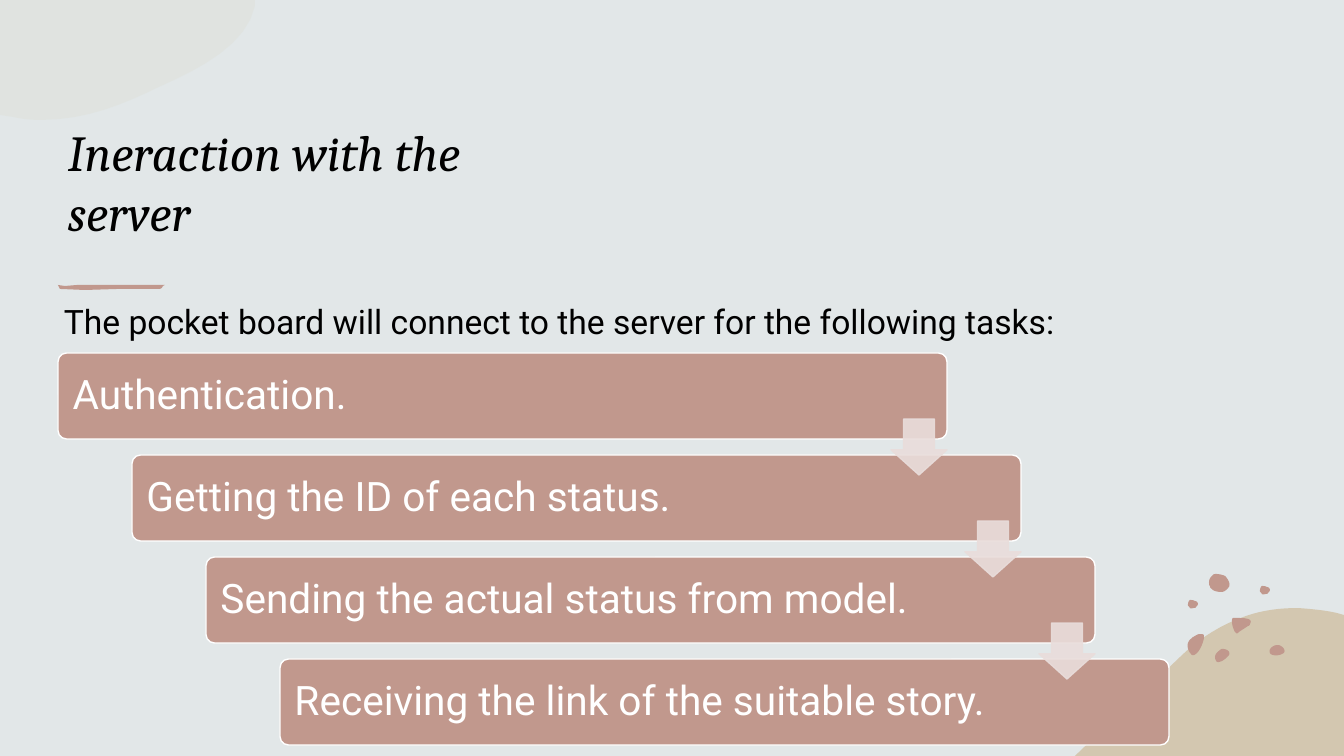
from lxml.etree import SubElement
from pptx import Presentation
from pptx.dml.color import RGBColor
from pptx.enum.shapes import MSO_SHAPE as Preset
from pptx.enum.text import MSO_ANCHOR as Anchor, PP_ALIGN as Align
from pptx.oxml.ns import qn
from pptx.util import Pt

SLIDE_WIDTH, SLIDE_HEIGHT = 1344, 756
EMU_PER_PX = 12192000 / SLIDE_WIDTH
CURVE_STEPS = 8

MIST, ROSE, BLUSH, SAND, LEAF = "E2E7E8", "C1988D", "E9DDDB", "D3C7B0", "DBDBCB"
BLACK, WHITE = "000000", "FFFFFF"

TITLE_FONT = {"name": "Cambria", "size": Pt(36), "italic": True}
INTRO_FONT = {"name": "Roboto", "size": Pt(24)}
TASK_FONT = {"name": "Roboto", "size": Pt(29)}

TASKS = [
    "Authentication.",
    "Getting the ID of each status.",
    "Sending the actual status from model.",
    "Receiving the link of the suitable story.",
]

# Outlines: a start point, then line ends (2 numbers) or cubic curves (6 numbers).
LEAF_OUTLINE = [(0, 0), (255, 0), (255, 6), (247, 44, 202, 68, 159, 87),
                (124, 104, 87, 120, 41, 120), (31, 120, 22, 119, 13, 117), (0, 115)]
STROKE_OUTLINE = [(0, 0), (7, 1), (19, 0), (107, 0), (103, 1, 106, 4, 100, 4),
                  (60, 4), (27, 5), (2, 4)]
DUNE_OUTLINE = [(223, 0), (236, 1, 249, 2, 262, 5), (269, 7), (269, 148), (0, 148), (1, 147),
                (35, 114, 71, 82, 103, 51), (125, 29, 148, 16, 171, 8),
                (188, 2, 206, 0, 223, 0)]
SMALL_PEBBLE = [(0, 5), (0, 5, 0, 1, 2, 0), (4, 0, 5, 0, 7, 1), (8, 1, 10, 2, 10, 4),
                (10, 5, 9, 6, 8, 7), (8, 7, 8, 8, 6, 8), (5, 8, 3, 9, 2, 8),
                (1, 6, 0, 6, 0, 5)]
PEBBLES = [
    (27, 75, [(7, 0), (9, 0, 10, 0, 12, 1), (14, 2, 15, 4, 14, 6), (12, 9, 6, 14, 2, 13),
              (1, 12, 0, 10, 0, 8), (0, 6, 2, 3, 4, 2), (5, 1, 6, 0, 7, 0)]),
    (0, 60, [(12, 0), (14, 0, 16, 0, 16, 2), (16, 3, 16, 3, 16, 4), (15, 9, 13, 14, 10, 18),
             (8, 20, 5, 23, 3, 20), (0, 17, -1, 12, 0, 9), (1, 6, 3, 5, 5, 3),
             (6, 3, 9, 0, 12, 0)]),
    (82, 71, [(8, 0), (10, 0, 13, 2, 14, 4), (15, 6, 15, 8, 12, 9), (9, 11, 1, 11, 0, 8),
              (-1, 6, 0, 4, 1, 3), (3, 1, 5, 0, 8, 0)]),
    (21, 0, [(1, 12), (0, 12, -1, 6, 2, 3), (4, 1, 4, 0, 7, 0), (10, 0, 14, 1, 16, 2),
             (18, 4, 22, 9, 20, 13), (17, 16, 16, 18, 12, 18), (9, 18, 4, 17, 3, 15),
             (1, 14, 1, 13, 1, 12)]),
    (72, 12, SMALL_PEBBLE),
    (0, 26, SMALL_PEBBLE),
    (44, 44, [(5, 0), (11, 0, 22, 0, 18, 6), (18, 7, 17, 8, 16, 8), (13, 10, 10, 12, 7, 14),
              (6, 15, 5, 16, 4, 15), (4, 15, 3, 14, 3, 14), (1, 10, 0, 7, 0, 3),
              (0, 2, 0, 1, 1, 0)]),
]


def px(length):
    return round(length * EMU_PER_PX)


def rgb(color):
    return RGBColor.from_string(color)


def set_opacity(fill_parent, percent):
    for color in fill_parent.iter(qn("a:srgbClr")):
        SubElement(color, qn("a:alpha")).set("val", str(percent * 1000))


def style_shape(shape, fill, line=None, opacity=100):
    shape.shadow.inherit = False
    shape.fill.solid()
    shape.fill.fore_color.rgb = rgb(fill)
    if line:
        shape.line.color.rgb = rgb(line)
        shape.line.width = Pt(1)
    else:
        shape.line.fill.background()
    if opacity < 100:
        set_opacity(shape.element.spPr, opacity)


def write_text(shape, text, font, color, anchor, margins=None):
    frame = shape.text_frame
    frame.word_wrap = True
    frame.vertical_anchor = anchor
    for name, value in (margins or {}).items():
        setattr(frame, name, value)
    paragraph = frame.paragraphs[0]
    paragraph.text = text
    paragraph.alignment = Align.LEFT
    for name, value in font.items():
        setattr(paragraph.font, name, value)
    paragraph.font.color.rgb = rgb(color)
    return paragraph


def add_text(slide, left, top, width, height, text, font, anchor):
    box = slide.shapes.add_textbox(px(left), px(top), px(width), px(height))
    write_text(box, text, font, BLACK, anchor)


def flatten(outline):
    """Turn an outline into points, sampling its cubic curves."""
    points = [outline[0]]
    for segment in outline[1:]:
        if len(segment) == 2:
            points.append(segment)
            continue
        start = points[-1]
        for step in range(1, CURVE_STEPS + 1):
            t = step / CURVE_STEPS
            u = 1 - t
            points.append(tuple(
                u**3 * start[axis] + 3 * u * u * t * segment[axis]
                + 3 * u * t * t * segment[axis + 2] + t**3 * segment[axis + 4]
                for axis in (0, 1)))
    return points


def add_outline(slide, left, top, outline, fill, opacity=100):
    points = [(px(x), px(y)) for x, y in flatten(outline)]
    builder = slide.shapes.build_freeform(*points[0])
    builder.add_line_segments(points[1:], close=True)
    style_shape(builder.convert_to_shape(px(left), px(top)), fill, opacity=opacity)


def add_heading(slide, left, top):
    add_text(slide, left, top, 530, 160, "Ineraction with the server", TITLE_FONT, Anchor.BOTTOM)
    add_outline(slide, left, top + 198, STROKE_OUTLINE, ROSE)


def add_dune(slide, left, top):
    add_outline(slide, left, top, DUNE_OUTLINE, SAND)
    for x, y, outline in PEBBLES:
        add_outline(slide, left + 113 + x, top - 34 + y, outline, ROSE)


def add_staircase(slide, left, top):
    """Place one bar per task, each a step right and down, with arrows between them."""
    step_x, step_y, bar_width, bar_height, arrow_size = 74, 102, 889, 86, 56
    margins = {"margin_left": px(12), "margin_right": px(12)}
    for index, task in enumerate(TASKS):
        bar = slide.shapes.add_shape(
            Preset.ROUNDED_RECTANGLE, px(left + index * step_x), px(top + index * step_y),
            px(bar_width), px(bar_height))
        bar.adjustments[0] = 0.1
        style_shape(bar, ROSE, WHITE)
        write_text(bar, task, TASK_FONT, WHITE, Anchor.MIDDLE, margins).line_spacing = 0.9
    for index in range(len(TASKS) - 1):
        arrow = slide.shapes.add_shape(
            Preset.DOWN_ARROW, px(left + 833 + index * step_x), px(top + 66 + index * step_y),
            px(arrow_size), px(arrow_size))
        arrow.adjustments[0], arrow.adjustments[1] = 0.55, 0.45
        style_shape(arrow, BLUSH, BLUSH, opacity=90)


def build_server_slide(presentation):
    slide = presentation.slides.add_slide(presentation.slide_layouts[6])
    slide.background.fill.solid()
    slide.background.fill.fore_color.rgb = rgb(MIST)
    add_outline(slide, 0, 0, LEAF_OUTLINE, LEAF, opacity=25)
    add_heading(slide, 58, 87)
    add_dune(slide, 1075, 608)
    add_staircase(slide, 58, 353)
    add_text(slide, 54, 296, 1033, 82,
             "The pocket board will connect to the server for the following tasks:",
             INTRO_FONT, Anchor.TOP)


def main():
    presentation = Presentation()
    presentation.slide_width = px(SLIDE_WIDTH)
    presentation.slide_height = px(SLIDE_HEIGHT)
    build_server_slide(presentation)
    presentation.save("out.pptx")


if __name__ == "__main__":
    main()
